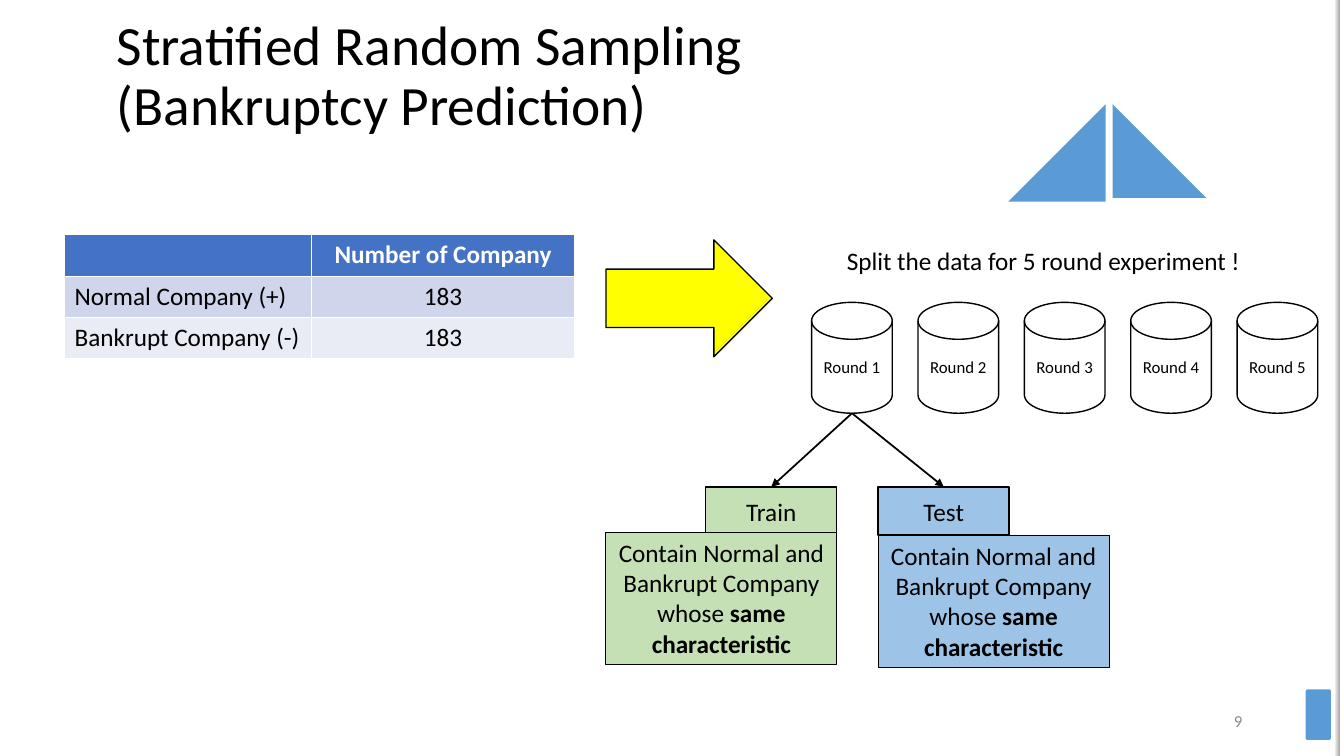
"""Build the stratified random sampling slide."""
from math import cos, pi, sin

from lxml.etree import SubElement
from pptx import Presentation
from pptx.dml.color import RGBColor
from pptx.enum.shapes import MSO_CONNECTOR, MSO_SHAPE
from pptx.enum.text import MSO_ANCHOR, PP_ALIGN
from pptx.oxml.ns import qn
from pptx.util import Inches, Pt

COLORS = {
    "black": "000000", "white": "FFFFFF", "gray": "8C8C8C", "yellow": "FFFF00",
    "accent": "5B9BD5", "header": "4472C4", "band": "CFD5EA", "light_band": "E9EBF5",
    "green": "C5E0B4", "blue": "9DC3E6", "edge_light": "F2F2F2", "edge_dark": "A6A6A6",
}
TITLE = ["Stratified Random Sampling ", "(Bankruptcy Prediction)"]
TABLE_ROWS = [
    ("", "Number of Company"),
    ("Normal Company (+)", "183"),
    ("Bankrupt Company (-)", "183"),
]
ROW_FILLS = ["header", "band", "light_band"]
COLUMN_WIDTHS = [2.45, 2.61]
ROW_HEIGHT = 0.41
SPLIT_TEXT = "Split the data for 5 round experiment !"
ROUNDS = [f"Round {number}" for number in range(1, 6)]
ROUND_BOX = (8.05, 3, 0.8, 1.1)
ROUND_STEP = 1.055
SUBSETS = [
    {"name": "Train", "fill": "green", "label": (7, 4.83, 1.3, 0.48), "body": (6.01, 5.28, 2.29, 1.31)},
    {"name": "Test", "fill": "blue", "label": (8.71, 4.83, 1.3, 0.48), "body": (8.71, 5.31, 2.29, 1.31)},
]
SUBSET_RUNS = [("Contain Normal and Bankrupt Company whose ", False), ("same characteristic", True)]
HEXAGONS = [
    {"center": (11.035, 1.97), "radius": 0.61, "fill": "accent"},
    {"center": (11.595, 1.21), "radius": 1.02, "line": "white", "width": 5},
]
CORNER_CUT = 0.09


def color(name):
    """Return the named colour."""
    return RGBColor.from_string(COLORS[name])


def paint(shape, fill=None, line=None, width=1):
    """Set the fill and outline of a shape."""
    shape.shadow.inherit = False
    if fill:
        shape.fill.solid()
        shape.fill.fore_color.rgb = color(fill)
    else:
        shape.fill.background()
    if line:
        shape.line.color.rgb = color(line)
        shape.line.width = Pt(width)
    else:
        shape.line.fill.background()


def write(frame, runs, size=18, ink="black", align=PP_ALIGN.LEFT, anchor=MSO_ANCHOR.TOP, wrap=True):
    """Write (text, bold) runs into one paragraph and return it."""
    frame.word_wrap = wrap
    frame.vertical_anchor = anchor
    paragraph = frame.paragraphs[0]
    paragraph.alignment = align
    for text, bold in runs:
        run = paragraph.add_run()
        run.text = text
        for key, value in {"name": "Calibri", "size": Pt(size), "bold": bold}.items():
            setattr(run.font, key, value)
        run.font.color.rgb = color(ink)
    return paragraph


def add_box(slide, kind, box, fill, line="black", width=1):
    """Add a painted preset shape."""
    shape = slide.shapes.add_shape(kind, *map(Inches, box))
    paint(shape, fill, line, width)
    return shape


def add_text(slide, box, runs, **formats):
    """Add a text box holding one paragraph."""
    return write(slide.shapes.add_textbox(*map(Inches, box)).text_frame, runs, **formats)


def add_hexagon(slide, center, radius, **paint_values):
    """Add a regular hexagon with rounded corners."""
    corners = [(center[0] + radius * cos(k * pi / 3), center[1] + radius * sin(k * pi / 3))
               for k in range(6)]
    points = []
    for k, corner in enumerate(corners):
        before, after = corners[k - 1], corners[(k + 1) % 6]
        for step in range(7):
            t = step / 6
            points.append(tuple(
                c + CORNER_CUT * ((1 - t) ** 2 * (b - c) + t ** 2 * (a - c))
                for b, c, a in zip(before, corner, after)))
    builder = slide.shapes.build_freeform(*points[0], scale=Inches(1))
    builder.add_line_segments(points[1:], close=True)
    paint(builder.convert_to_shape(), **paint_values)


def add_arrow(slide, start, end):
    """Add a straight connector with an arrowhead at its end."""
    arrow = slide.shapes.add_connector(MSO_CONNECTOR.STRAIGHT, *map(Inches, start + end))
    arrow.line.color.rgb = color("black")
    arrow.line.width = Pt(1.25)
    SubElement(arrow.line._get_or_add_ln(), qn("a:tailEnd"), type="triangle")
    SubElement(arrow._element.spPr, qn("a:effectLst"))


def add_decoration(slide):
    """Add the page marker, the shaded edge and the hexagons."""
    marker = add_box(slide, MSO_SHAPE.ROUNDED_RECTANGLE, (12.95, 6.84, 0.25, 0.5), "accent", None)
    marker.adjustments[0] = 0.07
    edge = add_box(slide, MSO_SHAPE.RECTANGLE, (13.24, 0, 0.05, 7.5), "edge_light", None)
    edge.fill.gradient()
    edge.fill.gradient_angle = 0
    for stop, name in zip(edge.fill.gradient_stops, ["edge_light", "edge_dark"]):
        stop.color.rgb = color(name)
    for hexagon in HEXAGONS:
        add_hexagon(slide, **hexagon)


def add_company_table(slide):
    """Add the table of company counts."""
    size = (sum(COLUMN_WIDTHS), ROW_HEIGHT * len(TABLE_ROWS))
    table = slide.shapes.add_table(
        len(TABLE_ROWS), len(COLUMN_WIDTHS), *map(Inches, (0.64, 2.33) + size)).table
    for column, width in zip(table.columns, COLUMN_WIDTHS):
        column.width = Inches(width)
    for r, row in enumerate(TABLE_ROWS):
        for c, text in enumerate(row):
            cell = table.cell(r, c)
            cell.fill.solid()
            cell.fill.fore_color.rgb = color(ROW_FILLS[r])
            if text:
                write(cell.text_frame, [(text, r == 0)], ink="black" if r else "white",
                      align=PP_ALIGN.CENTER if c else PP_ALIGN.LEFT)


def add_experiment(slide):
    """Add the rounds and the two subsets of the first round."""
    centered = {"align": PP_ALIGN.CENTER, "anchor": MSO_ANCHOR.MIDDLE}
    left, top, width, height = ROUND_BOX
    for k, name in enumerate(ROUNDS):
        box = (left + k * ROUND_STEP, top, width, height)
        disk = add_box(slide, MSO_SHAPE.FLOWCHART_MAGNETIC_DISK, box, "white")
        write(disk.text_frame, [(name, False)], size=12, **centered)
    for subset in SUBSETS:
        label = add_box(slide, MSO_SHAPE.RECTANGLE, subset["label"], subset["fill"])
        write(label.text_frame, [(subset["name"], False)], **centered)
        x, y, label_width, _ = subset["label"]
        add_arrow(slide, (left + width / 2, top + height), (x + label_width / 2, y))
        body = add_box(slide, MSO_SHAPE.RECTANGLE, subset["body"], subset["fill"], width=0.75)
        write(body.text_frame, SUBSET_RUNS, align=PP_ALIGN.CENTER)


def main():
    """Assemble and save the slide."""
    presentation = Presentation()
    presentation.slide_width, presentation.slide_height = Inches(13.33), Inches(7.5)
    slide = presentation.slides.add_slide(presentation.slide_layouts[6])
    add_decoration(slide)
    title_box = slide.shapes.add_textbox(*map(Inches, (1.06, 0.12, 11, 1.3)))
    title_format = {"size": 39.6, "anchor": MSO_ANCHOR.MIDDLE}
    title = write(title_box.text_frame, [(TITLE[0], False)], **title_format)
    title.add_line_break()
    write(title_box.text_frame, [(TITLE[1], False)], **title_format)
    title.line_spacing = 0.9
    add_company_table(slide)
    add_text(slide, (9.42, 6.95, 3, 0.4), [("9", False)], size=12, ink="gray",
             align=PP_ALIGN.RIGHT, anchor=MSO_ANCHOR.MIDDLE)
    add_box(slide, MSO_SHAPE.RIGHT_ARROW, (6.01, 2.38, 1.65, 1.16), "yellow")
    add_text(slide, (8.3, 2.38, 4.15, 0.4), [(SPLIT_TEXT, False)], wrap=False)
    add_experiment(slide)
    presentation.save("out.pptx")


if __name__ == "__main__":
    main()
